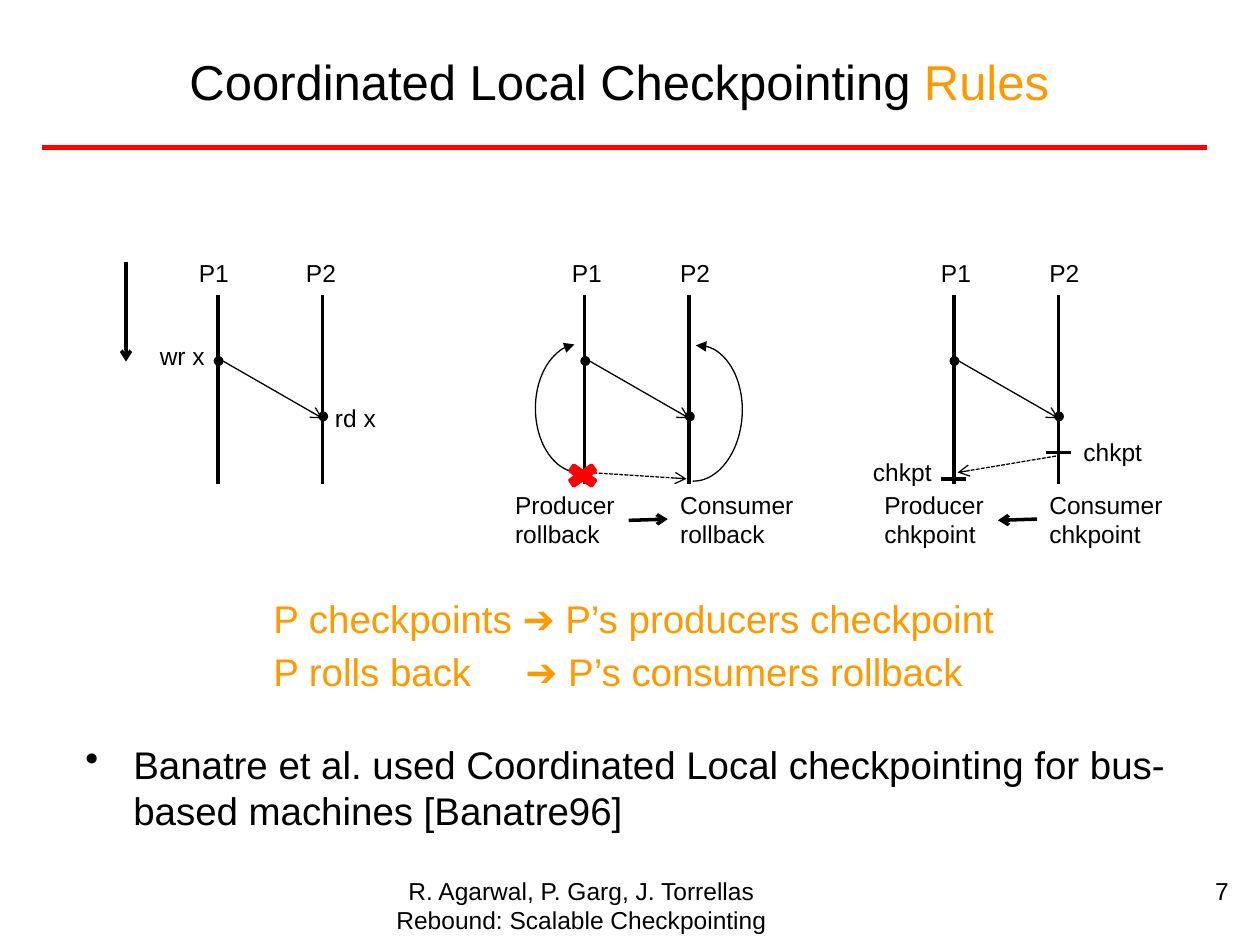
from lxml import etree
from pptx import Presentation
from pptx.dml.color import RGBColor
from pptx.enum.dml import MSO_LINE
from pptx.enum.shapes import MSO_CONNECTOR, MSO_SHAPE
from pptx.enum.text import MSO_ANCHOR, MSO_AUTO_SIZE, PP_ALIGN
from pptx.oxml.ns import qn
from pptx.util import Inches, Pt

COLORS = {"ink": "000000", "accent": "FF9900", "alert": "FF0000"}
FONT = "Arial"
LEFT, CENTER, RIGHT = PP_ALIGN.LEFT, PP_ALIGN.CENTER, PP_ALIGN.RIGHT
TOP, MIDDLE = MSO_ANCHOR.TOP, MSO_ANCHOR.MIDDLE
DASHED = MSO_LINE.SQUARE_DOT
P2_OFFSET = 0.83  # distance between the two processor timelines


def rgb(name):
    return RGBColor.from_string(COLORS[name])


def add_text(shapes, box, paragraphs, size=14, color="ink", align=LEFT, anchor=TOP,
             wrap=True, grow=False, inset=0.1, gap=0, bullet=None, tab=None):
    """Each paragraph is a string or a list of (text, color) runs."""
    frame = shapes.add_textbox(*map(Inches, box)).text_frame
    frame.word_wrap = wrap
    frame.auto_size = MSO_AUTO_SIZE.SHAPE_TO_FIT_TEXT if grow else MSO_AUTO_SIZE.NONE
    frame.vertical_anchor = anchor
    frame.margin_left = Inches(inset)
    for index, content in enumerate(paragraphs):
        paragraph = frame.paragraphs[0] if index == 0 else frame.add_paragraph()
        paragraph.alignment = align
        if index and gap:
            paragraph.space_before = Pt(gap)
        props = paragraph._p.get_or_add_pPr()
        if bullet:
            props.set("marL", str(Inches(0.38)))
            props.set("indent", str(-Inches(0.38)))
            etree.SubElement(props, qn("a:buChar"), char=bullet)
        if tab:
            tabs = etree.SubElement(props, qn("a:tabLst"))
            etree.SubElement(tabs, qn("a:tab"), pos=str(Inches(tab)), algn="l")
        runs = [(content, color)] if isinstance(content, str) else content
        for words, run_color in runs:
            run = paragraph.add_run()
            run.text = words
            run.font.name = FONT
            run.font.size = Pt(size)
            run.font.color.rgb = rgb(run_color)


def style_line(line, color="ink", width=2, dash=None, head=None, tail=None):
    line.color.rgb = rgb(color)
    line.width = Pt(width)
    if dash:
        line.dash_style = dash
    for tag, kind in (("a:headEnd", head), ("a:tailEnd", tail)):
        if kind:
            etree.SubElement(line._get_or_add_ln(), qn(tag), type=kind)


def add_line(shapes, start, end, **style):
    line = shapes.add_connector(MSO_CONNECTOR.STRAIGHT, *map(Inches, (*start, *end)))
    style_line(line.line, **style)
    etree.SubElement(line._element.spPr, qn("a:effectLst"))


def add_solid(shapes, kind, box, color):
    solid = shapes.add_shape(kind, *map(Inches, box))
    solid.shadow.inherit = False
    solid.fill.solid()
    solid.fill.fore_color.rgb = rgb(color)
    style_line(solid.line, color)


def add_rollback_arc(shapes, box, rotation, angles, **ends):
    arc = shapes.add_shape(MSO_SHAPE.ARC, *map(Inches, box))
    arc.shadow.inherit = False
    arc.fill.background()
    arc.rotation = rotation
    arc.adjustments[0], arc.adjustments[1] = angles
    style_line(arc.line, width=0.75, **ends)


def add_label(shapes, left, top, *lines, width=0.44):
    height = 0.34 if len(lines) == 1 else 0.57
    add_text(shapes, (left, top, width, height), lines, wrap=False, grow=True)


def add_timelines(slide, left, top, p1_shift=-0.2, p2_shift=-0.17):
    """Two processors and the message between them; left is the P1 timeline."""
    shapes = slide.shapes.add_group_shape().shapes
    lanes = (("P1", 0, p1_shift, 0.86), ("P2", P2_OFFSET, p2_shift, 1.3))
    for name, offset, shift, event in lanes:
        x = left + offset
        add_line(shapes, (x, top + 0.34), (x, top + 1.84))
        add_label(shapes, x + shift, top, name)
        add_solid(shapes, MSO_SHAPE.OVAL, (x - 0.02, top + event - 0.02, 0.05, 0.05), "ink")
    add_line(shapes, (left + 0.03, top + 0.86), (left + P2_OFFSET, top + 1.32),
             width=0.75, tail="arrow")
    return shapes


def add_outcome(shapes, left, top, action, **ends):
    """Producer and consumer captions joined by an arrow."""
    add_label(shapes, left - 0.65, top + 1.84, "Producer", action, width=1)
    add_label(shapes, left + 0.66, top + 1.84, "Consumer", action, width=1.1)
    add_line(shapes, (left + 0.35, top + 2.13), (left + 0.66, top + 2.12), **ends)


def add_dependence_panel(slide, left, top):
    shapes = add_timelines(slide, left, top, p1_shift=-0.25, p2_shift=-0.23)
    add_label(shapes, left - 0.56, top + 0.66, "wr x", width=0.56)
    add_label(shapes, left + P2_OFFSET, top + 1.15, "rd x", width=0.53)


def add_rollback_panel(slide, left, top):
    shapes = add_timelines(slide, left, top)
    add_line(shapes, (left + 0.03, top + 1.75), (left + 0.81, top + 1.8),
             width=0.75, dash=DASHED, tail="arrow")
    add_rollback_arc(shapes, (left - 0.55, top + 0.89, 1.02, 0.7), 270,
                     (103.99, 213.28), tail="triangle")
    add_rollback_arc(shapes, (left + 0.34, top + 0.91, 1.08, 0.74), 93.7,
                     (105.94, 215.3), head="triangle")
    add_outcome(shapes, left, top, "rollback", tail="arrow")
    add_solid(slide.shapes, MSO_SHAPE.MATH_MULTIPLY,
              (left - 0.18, top + 1.66, 0.33, 0.23), "alert")


def add_checkpoint_panel(slide, left, top):
    shapes = add_timelines(slide, left, top)
    add_line(shapes, (left + 0.81, top + 1.62), (left + 0.03, top + 1.75),
             width=0.75, dash=DASHED, tail="arrow")
    for x, y, label_left, label_top in ((left, top + 1.8, -0.74, -0.22),
                                        (left + P2_OFFSET, top + 1.59, 0.1, -0.17)):
        add_line(shapes, (x - 0.1, y), (x + 0.1, y))
        add_label(shapes, x + label_left, y + label_top, "chkpt", width=0.67)
    add_outcome(shapes, left, top, "chkpoint", head="arrow")


def add_header(slide, left, top, width, height):
    add_text(slide.shapes, (left, top, width, height),
             [[("Coordinated Local Checkpointing ", "ink"), ("Rules", "accent")]],
             size=28, align=CENTER, anchor=MIDDLE)
    add_line(slide.shapes, (0.33, 1.17), (9.58, 1.17), color="alert", width=3.25)


def add_footer(slide, top):
    add_text(slide.shapes, (1.78, top, 5.67, 0.57),
             ["R. Agarwal, P. Garg, J. Torrellas", "Rebound: Scalable Checkpointing"],
             align=CENTER, grow=True)
    add_text(slide.shapes, (7.52, top, 2.33, 0.52), ["7"], align=RIGHT)


def add_rules(slide, left, top, width, height):
    add_text(slide.shapes, (left, top, width, height),
             ["P checkpoints ➔ P’s producers checkpoint",
              "P rolls back\t➔ P’s consumers rollback"],
             size=22, color="accent", inset=0.6, gap=4.4, tab=2)


def main():
    deck = Presentation()
    deck.slide_width, deck.slide_height = Inches(10), Inches(7.5)
    slide = deck.slides.add_slide(deck.slide_layouts[6])
    add_header(slide, 0.5, 0.1, 8.83, 1.08)
    add_line(slide.shapes, (1, 2.08), (1, 2.87), tail="arrow")
    add_dependence_panel(slide, 1.73, 2)
    add_rollback_panel(slide, 4.64, 2)
    add_checkpoint_panel(slide, 7.57, 2)
    add_rules(slide, 1.57, 4.67, 6.93, 0.92)
    add_text(slide.shapes, (0.58, 5.83, 9.08, 0.92),
             ["Banatre et al. used Coordinated Local checkpointing for "
              "bus-based machines [Banatre96]"], size=22, bullet="•")
    add_footer(slide, 6.9)
    deck.save("out.pptx")


if __name__ == "__main__":
    main()
